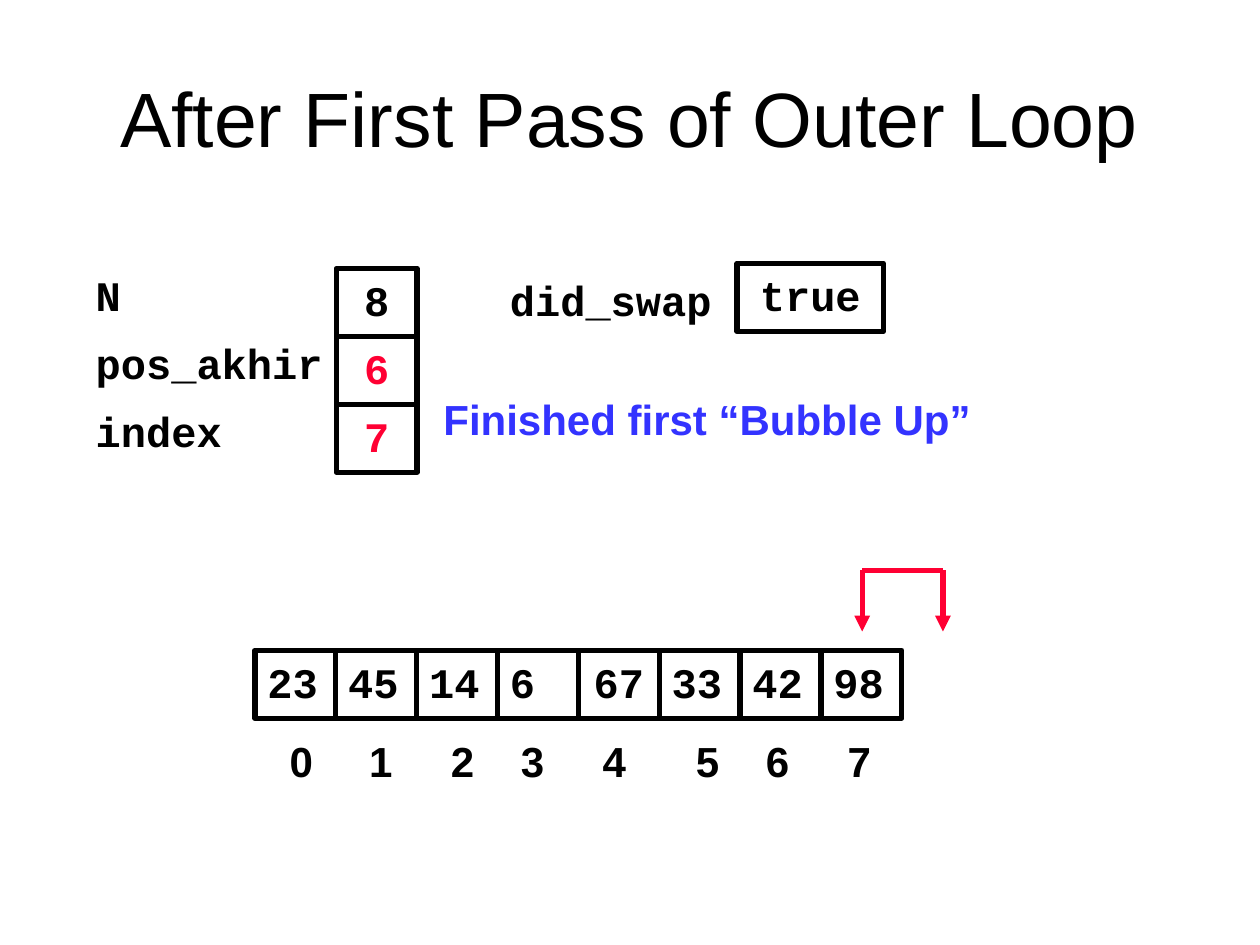
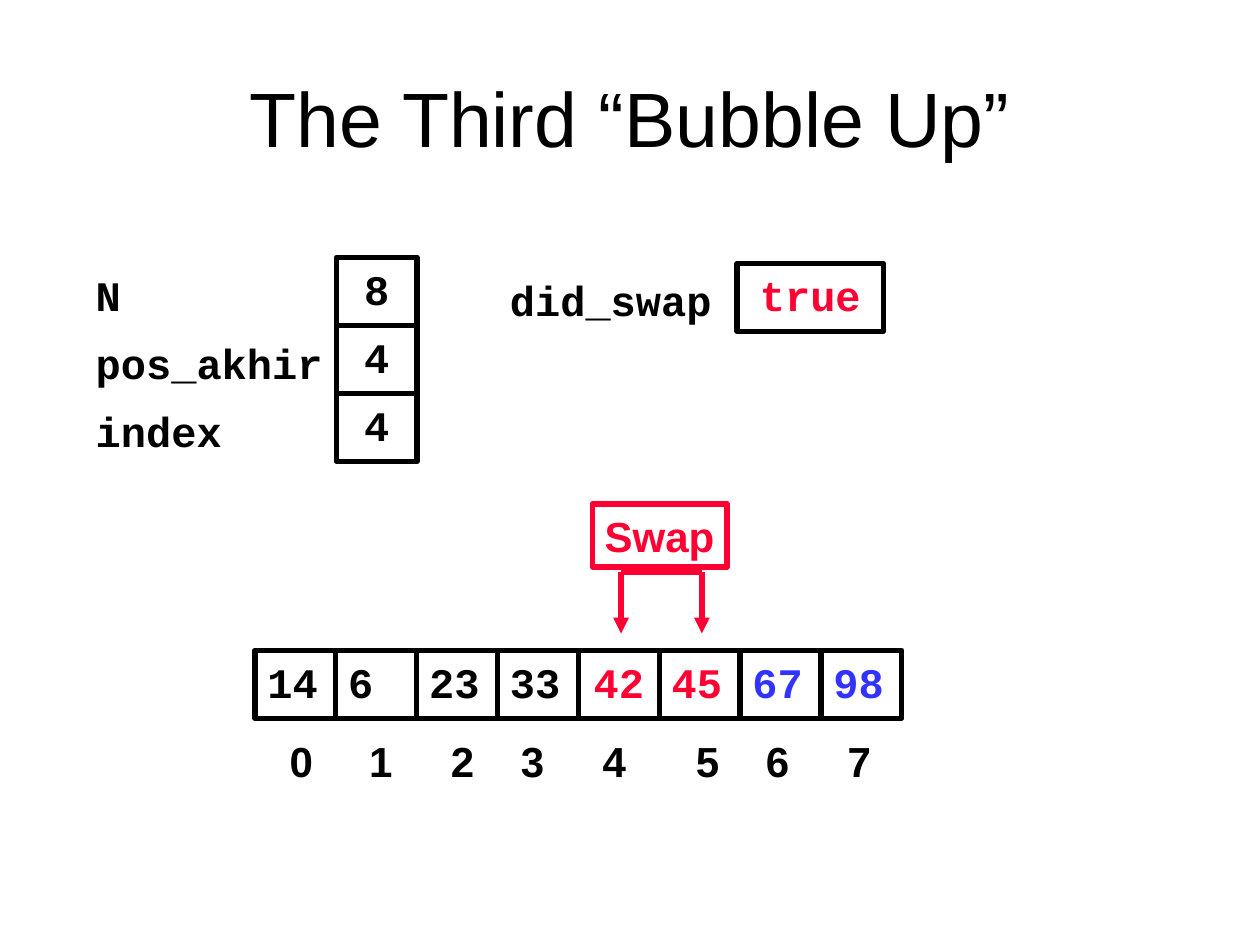
import pptx
import pptx.util
import pptx.dml.color
import pptx.enum.shapes
import pptx.enum.text
import pptx.oxml.ns
import lxml.etree

Cm = pptx.util.Cm
Pt = pptx.util.Pt
COLORS = {"ink": "000000", "active": "FF0033", "done": "3333FF"}
CODE = {"name": "Courier New", "size": Pt(24), "bold": True}
PROSE = {"name": "Arial", "size": Pt(24), "bold": True}
TITLE = {"name": "Arial", "size": Pt(44), "bold": False}
LEFT = pptx.enum.text.PP_ALIGN.LEFT
CENTER = pptx.enum.text.PP_ALIGN.CENTER
TOP = pptx.enum.text.MSO_ANCHOR.TOP
MIDDLE = pptx.enum.text.MSO_ANCHOR.MIDDLE
GROW = pptx.enum.text.MSO_AUTO_SIZE.SHAPE_TO_FIT_TEXT
FIXED = pptx.enum.text.MSO_AUTO_SIZE.NONE

LINE_WIDTH = Pt(3)
CELL_WIDTH = 1.63
CELL_HEIGHT = 1.37
LABEL_HEIGHT = 1.27
ARRAY_LEFT = 5.14
ARRAY_TOP = 13.11
CENTERED_CELL = 4
VARIABLES = [("N", 3.05), ("pos_akhir", 5.08), ("index", 3.05)]
INDEX_TABS = [1.6, 3.25, 4.66, 6.31, 8.19, 9.6, 11.25]


def rgb(color):
    return pptx.dml.color.RGBColor.from_string(COLORS[color])


def set_attributes(target, values):
    for name, value in values.items():
        setattr(target, name, value)


def write(shape, text, font, color="ink", align=LEFT, **frame_values):
    frame = shape.text_frame
    set_attributes(frame, {"word_wrap": False, "vertical_anchor": TOP, **frame_values})
    para = frame.paragraphs[0]
    para.alignment = align
    span = para.add_run()
    span.text = text
    set_attributes(span.font, font)
    span.font.color.rgb = rgb(color)
    return para


def add_title(page, text):
    title = page.shapes.title
    set_attributes(title, {"left": Cm(1.27), "top": Cm(0.76), "width": Cm(22.86), "height": Cm(3.18)})
    write(title, text, TITLE, align=CENTER, word_wrap=True, vertical_anchor=MIDDLE, auto_size=FIXED)


def add_label(page, text, left, top, width, font=CODE, color="ink", wrap=False):
    label = page.shapes.add_textbox(Cm(left), Cm(top), Cm(width), Cm(LABEL_HEIGHT))
    return write(label, text, font, color, word_wrap=wrap, auto_size=GROW)


def add_box(page, text, left, top, width=CELL_WIDTH, height=CELL_HEIGHT,
            color="ink", border="ink", font=CODE, align=CENTER):
    box = page.shapes.add_shape(
        pptx.enum.shapes.MSO_SHAPE.RECTANGLE, Cm(left), Cm(top), Cm(width), Cm(height))
    box.shadow.inherit = False
    box.fill.background()
    box.line.color.rgb = rgb(border)
    box.line.width = LINE_WIDTH
    write(box, text, font, color, align)


def add_line(group, start, end, arrow=False):
    line = group.shapes.add_connector(
        pptx.enum.shapes.MSO_CONNECTOR.STRAIGHT, *map(Cm, start + end))
    line.line.color.rgb = rgb("active")
    line.line.width = LINE_WIDTH
    if arrow:
        lxml.etree.SubElement(line.line._get_or_add_ln(), pptx.oxml.ns.qn("a:headEnd"), type="triangle")
    lxml.etree.SubElement(line._element.spPr, pptx.oxml.ns.qn("a:effectLst"))


def add_swap_bracket(page, left, top, bottom):
    group = page.shapes.add_group_shape()
    right = left + CELL_WIDTH
    for side in (left, right):
        add_line(group, (side, bottom), (side, top), arrow=True)
    add_line(group, (left, top), (right, top))


def add_array(page, cells):
    for index, (value, color) in enumerate(cells):
        align = CENTER if index == CENTERED_CELL else LEFT
        add_box(page, value, ARRAY_LEFT + index * CELL_WIDTH, ARRAY_TOP, color=color, align=align)
    indices = "\t".join(str(index) for index in range(len(cells)))
    para = add_label(page, indices, 5.59, 14.71, 12.4, font=PROSE, wrap=True)
    tabs = lxml.etree.SubElement(para._p.get_or_add_pPr(), pptx.oxml.ns.qn("a:tabLst"))
    for stop in INDEX_TABS:
        lxml.etree.SubElement(tabs, pptx.oxml.ns.qn("a:tab"), pos=str(Cm(stop)), algn="l")


def add_variables(page, values, top):
    for row, ((name, width), (value, color)) in enumerate(zip(VARIABLES, values)):
        add_label(page, name, 1.68, 5.31 + row * CELL_HEIGHT, width)
        add_box(page, value, 6.78, top + row * CELL_HEIGHT, color=color)


def add_did_swap(page, color):
    add_label(page, "did_swap", 10.03, 5.41, 6.6)
    add_box(page, "true", 14.86, 5.31, width=2.95, color=color)


def add_state_slide(deck, title, values, values_top, swap_color, cells, bracket):
    page = deck.slides.add_slide(deck.slide_layouts[5])
    add_title(page, title)
    add_array(page, cells)
    add_variables(page, values, values_top)
    add_swap_bracket(page, *bracket)
    add_did_swap(page, swap_color)
    return page


def paint(values, colors):
    return [(value, colors.get(index, "ink")) for index, value in enumerate(values.split())]


def main():
    deck = pptx.Presentation()
    set_attributes(deck, {"slide_width": Cm(25.4), "slide_height": Cm(19.05)})

    first = add_state_slide(
        deck, "After First Pass of Outer Loop",
        paint("8 6 7", {1: "active", 2: "active"}), 5.41, "ink",
        paint("23 45 14 6 67 33 42 98", {}), (17.38, 11.5, 12.73))
    add_label(first, "Finished first “Bubble Up”", 8.69, 7.8, 11.13, font=PROSE, color="done")

    third = add_state_slide(
        deck, "The Third “Bubble Up”",
        paint("8 4 4", {}), 5.19, "active",
        paint("14 6 23 33 42 45 67 98", {4: "active", 5: "active", 6: "done", 7: "done"}),
        (12.52, 11.54, 12.77))
    add_box(third, "Swap", 11.94, 10.16, width=2.72, height=LABEL_HEIGHT,
            color="active", border="active", font=PROSE, align=LEFT)

    deck.save("out.pptx")


if __name__ == "__main__":
    main()
